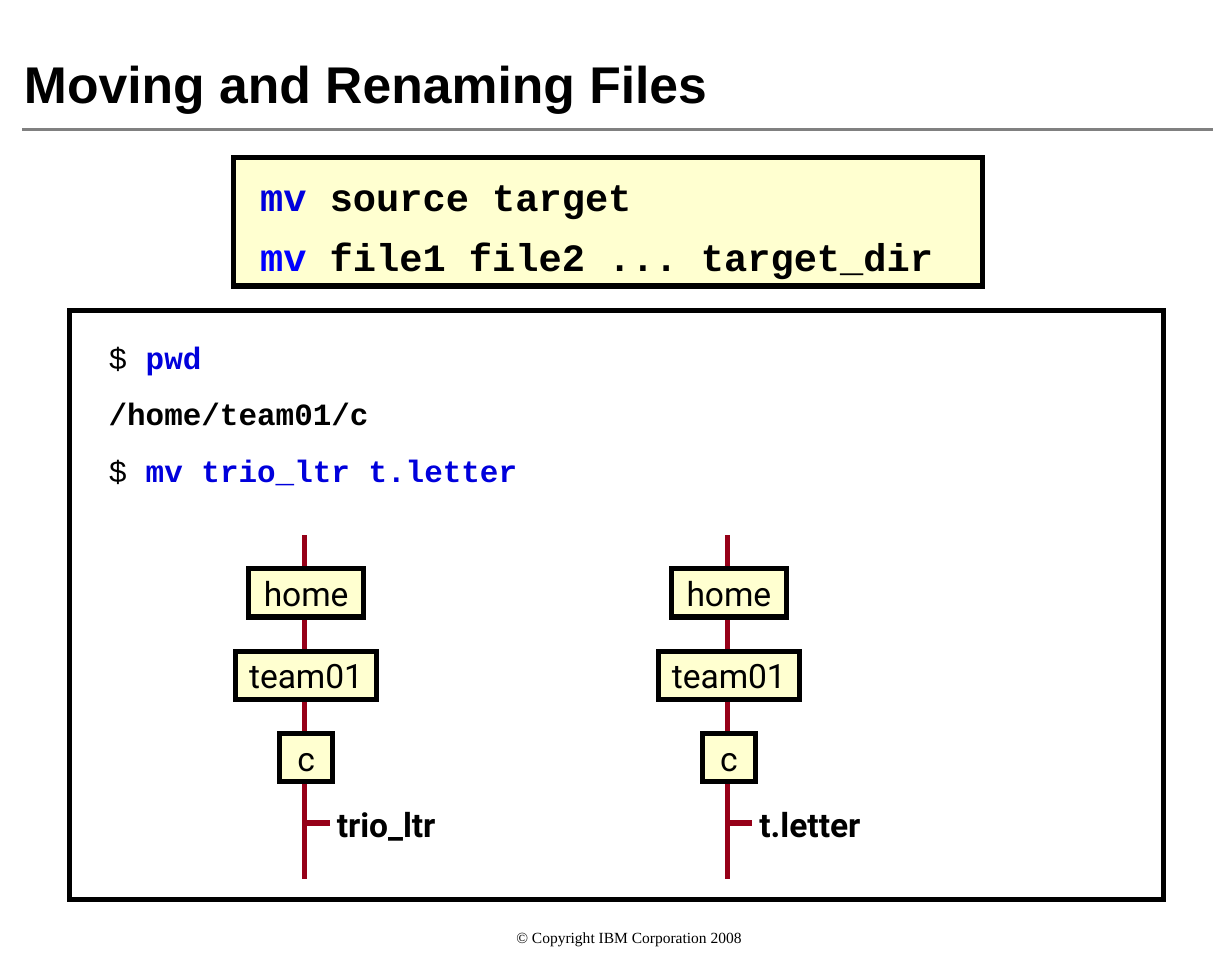
from pptx import Presentation
from pptx import util as u
from pptx.dml.color import RGBColor
from pptx.enum import shapes, text
from pptx.oxml import ns
from lxml import etree

BLACK, GRAY, CREAM, RED = "000000", "808080", "FFFFD0", "960018"
BLUE, BRIGHT_BLUE = "0000DC", "0000FF"
MONO, SANS = "Courier New", "Roboto"


def color(value):
    """Turn a hex string into a colour."""
    return RGBColor.from_string(value)


class SlideBuilder:
    """Holds the style and the current slide and adds elements to it."""

    def __init__(self, presentation):
        """Start a title-only slide."""
        self.slide = presentation.slides.add_slide(presentation.slide_layouts[5])
        self.line_width = 2

    def style_font(self, font, size=None, name=None, hue=None, bold=None):
        """Set the given font properties."""
        if size:
            font.size = u.Pt(size)
        if name:
            font.name = name
        if hue:
            font.color.rgb = color(hue)
        if bold is not None:
            font.bold = bold

    def set_frame(self, frame, left, top, anchor, right=0, bottom=0, wrap=True):
        """Set insets, wrapping and anchor of a text frame."""
        frame.margin_left, frame.margin_top = u.Pt(left), u.Pt(top)
        frame.margin_right, frame.margin_bottom = u.Pt(right), u.Pt(bottom)
        frame.word_wrap, frame.vertical_anchor = wrap, anchor

    def title(self, words, left, top, width, height):
        """Fill and place the title placeholder."""
        shape = self.slide.shapes.title
        shape.left, shape.top = u.Pt(left), u.Pt(top)
        shape.width, shape.height = u.Pt(width), u.Pt(height)
        shape.text_frame.text = words
        self.set_frame(shape.text_frame, 5, 2, text.MSO_ANCHOR.BOTTOM, 5, 2)
        paragraph = shape.text_frame.paragraphs[0]
        paragraph.alignment = text.PP_ALIGN.LEFT
        self.style_font(paragraph.font, 20, "Arial", BLACK, True)

    def line(self, x1, y1, x2, y2, hue, width=None):
        """Draw a straight line without a shadow."""
        connector = self.slide.shapes.add_connector(
            shapes.MSO_CONNECTOR.STRAIGHT, u.Pt(x1), u.Pt(y1), u.Pt(x2), u.Pt(y2))
        connector.line.color.rgb = color(hue)
        connector.line.width = u.Pt(width or self.line_width)
        etree.SubElement(connector._element.spPr, ns.qn("a:effectLst"))

    def box(self, left, top, width, height, fill=None):
        """Draw a rectangle with a sharp-cornered border."""
        shape = self.slide.shapes.add_shape(
            shapes.MSO_SHAPE.RECTANGLE, u.Pt(left), u.Pt(top), u.Pt(width), u.Pt(height))
        shape.shadow.inherit = False
        if fill:
            shape.fill.solid()
            shape.fill.fore_color.rgb = color(fill)
        else:
            shape.fill.background()
        shape.line.color.rgb = color(BLACK)
        shape.line.width = u.Pt(self.line_width)
        border = shape._element.spPr.find(ns.qn("a:ln"))
        etree.SubElement(border, ns.qn("a:miter"), lim="800000")
        return shape

    def code(self, shape, lines, size, inset, space_after):
        """Write coloured code lines, each a list of (words, hue, bold)."""
        frame = shape.text_frame
        self.set_frame(frame, *inset, text.MSO_ANCHOR.TOP)
        for index, runs in enumerate(lines):
            paragraph = frame.add_paragraph() if index else frame.paragraphs[0]
            paragraph.alignment = text.PP_ALIGN.LEFT
            paragraph.space_after = u.Pt(space_after)
            self.style_font(paragraph.font, size, MONO)
            for words, hue, bold in runs:
                run = paragraph.add_run()
                run.text = words
                self.style_font(run.font, hue=hue, bold=bold)

    def node(self, words, center, top, width, height):
        """Draw a directory box with its name."""
        shape = self.box(center - width / 2, top, width, height, CREAM)
        self.set_frame(shape.text_frame, 0, 0, text.MSO_ANCHOR.MIDDLE, wrap=False)
        shape.text_frame.text = words
        paragraph = shape.text_frame.paragraphs[0]
        paragraph.alignment = text.PP_ALIGN.CENTER
        self.style_font(paragraph.font, 13, SANS, BLACK)

    def label(self, words, left, top, width, height, size, name,
              bold=False, alignment=text.PP_ALIGN.LEFT):
        """Place a single line of text."""
        shape = self.slide.shapes.add_textbox(
            u.Pt(left), u.Pt(top), u.Pt(width), u.Pt(height))
        self.set_frame(shape.text_frame, 0, 0, text.MSO_ANCHOR.TOP)
        shape.text_frame.text = words
        paragraph = shape.text_frame.paragraphs[0]
        paragraph.alignment = alignment
        self.style_font(paragraph.font, size, name, BLACK, bold)

    def tree(self, trunk, file_name):
        """Draw a directory path that ends in a file."""
        self.line(trunk, 207.5, trunk, 340.5, RED)
        for level, (words, width) in enumerate(
                [("home", 44.6), ("team01", 54.7), ("c", 20.5)]):
            self.node(words, trunk + 0.6, 220.5 + 31.9 * level, width, 18.7)
        self.line(trunk, 319, trunk + 9.7, 319, RED)
        self.label(file_name, trunk + 12.5, 311.6, 45, 16, 13, SANS, True)


def main():
    """Build and save the slide."""
    presentation = Presentation()
    presentation.slide_width, presentation.slide_height = u.Pt(477.36), u.Pt(369.36)
    builder = SlideBuilder(presentation)

    builder.title("Moving and Renaming Files", 4.3, 3.6, 467.3, 42.5)
    builder.line(8.6, 50.1, 470.2, 50.1, GRAY, 1)

    syntax = builder.box(90.6, 61.1, 290.1, 49.8, CREAM)
    builder.code(syntax, [
        [("mv ", BLUE, True), ("source target", BLACK, True)],
        [("mv", BRIGHT_BLUE, True), (" file1 file2 ... target_dir", BLACK, True)],
    ], 15, (10.2, 5.7), 5.4)

    terminal = builder.box(26.9, 120.3, 424, 228.5)
    builder.code(terminal, [
        [("$ ", BLACK, False), ("pwd", BLUE, True)],
        [("/home/team01/c", BLACK, True)],
        [("$ ", BLACK, False), ("mv trio_ltr t.letter", BLUE, True)],
    ], 12, (15.2, 10.8), 7.5)

    for trunk, file_name in [(118, "trio_ltr"), (281.8, "t.letter")]:
        builder.tree(trunk, file_name)

    builder.label("© Copyright IBM Corporation 2008", 10, 359.7, 467.36, 9.36,
                  6, "Times New Roman", alignment=text.PP_ALIGN.CENTER)
    presentation.save("out.pptx")


if __name__ == "__main__":
    main()
